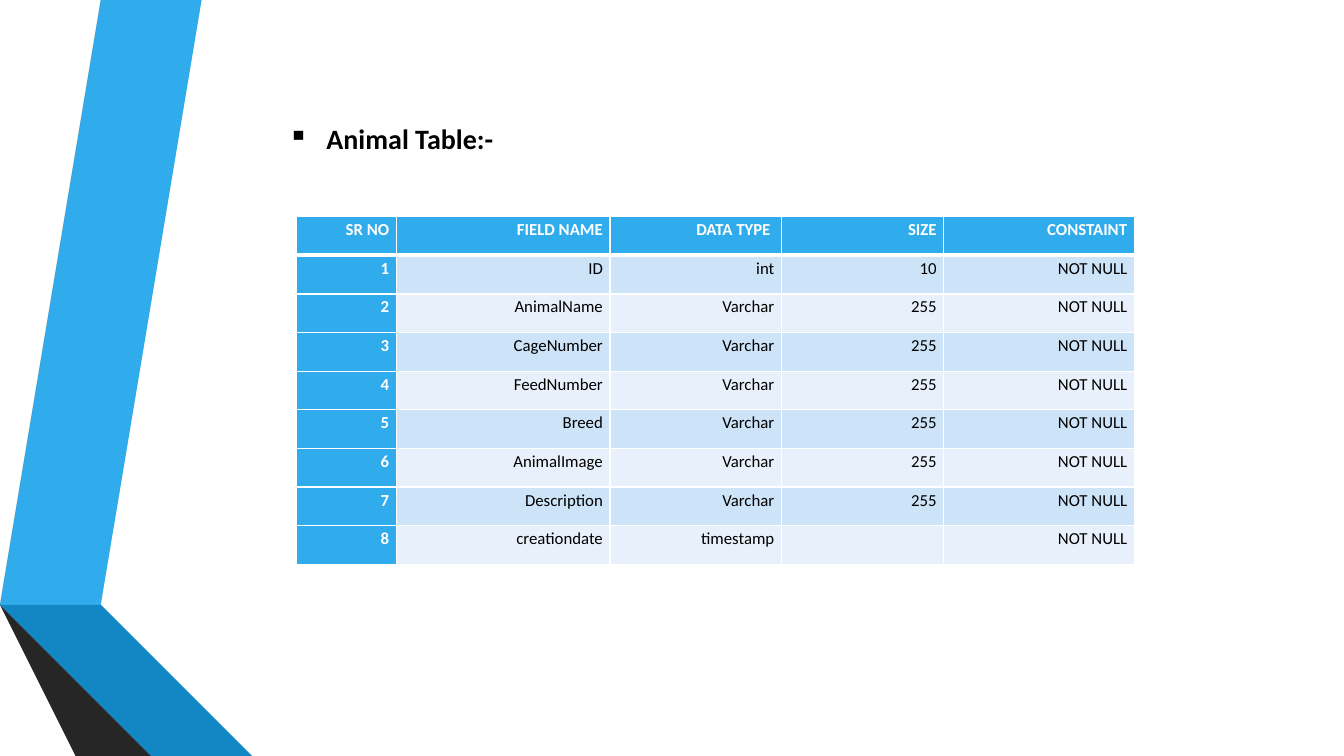
from lxml.etree import SubElement
from pptx import Presentation
from pptx.dml.color import RGBColor
from pptx.enum.text import PP_ALIGN
from pptx.oxml import parse_xml
from pptx.oxml.ns import nsdecls, qn
from pptx.util import Inches, Pt

COLORS = {
    "white": "FFFFFF", "black": "000000", "blue": "30ACEC",
    "mid_blue": "1287C3", "deep_blue": "0C5A82", "gray": "595959",
    "dark_gray": "404040", "shadow_gray": "262626",
    "odd_row": "CDE3F8", "even_row": "E8F1FB",
}
FONT = "Calibri"
WIDTH, HEIGHT = 13.33, 7.5

HEADING = "Animal Table:-"
HEADER = ("SR NO", "FIELD NAME", "DATA TYPE ", "SIZE", "CONSTAINT")
FIELDS = [
    ("ID", "int", "10"),
    ("AnimalName", "Varchar", "255"),
    ("CageNumber", "Varchar", "255"),
    ("FeedNumber", "Varchar", "255"),
    ("Breed", "Varchar", "255"),
    ("AnimalImage", "Varchar", "255"),
    ("Description", "Varchar", "255"),
    ("creationdate", "timestamp", ""),
]
CONSTRAINT = "NOT NULL"
COLUMN_WIDTHS = (0.99, 2.12, 1.7, 1.61, 1.89)
TABLE_LEFT, TABLE_TOP, TABLE_HEIGHT = 2.94, 2.15, 3.45

RIBBONS = [
    ("blue", [(0.5, 5.78), (0.77, 5.83), (1.73, 0), (1.45, 0)]),
    ("gray", [(1.39, 0), (1.11, 0), (0.16, 5.73), (0.44, 5.77)]),
    ("shadow_gray", [(0.16, 5.73), (1.45, HEIGHT), (1.51, HEIGHT)]),
    ("deep_blue", [(0.5, 5.79), (2.08, HEIGHT), (2.14, HEIGHT)]),
    ("mid_blue", [(0.5, 5.78), (0.5, 5.79), (2.14, HEIGHT), (2.83, HEIGHT), (0.77, 5.83)]),
    ("dark_gray", [(2.02, HEIGHT), (0.48, 5.83), (0.44, 5.77), (0.16, 5.73), (1.51, HEIGHT)]),
]


def paint(fill, color):
    """Fill a shape or cell with a named colour."""
    fill.solid()
    fill.fore_color.rgb = RGBColor.from_string(COLORS[color])


def style_text(paragraph, size, color, bold):
    """Format every run of a paragraph."""
    for run in paragraph.runs:
        run.font.name, run.font.size, run.font.bold = FONT, Pt(size), bold
        run.font.color.rgb = RGBColor.from_string(COLORS[color])


def draw_ribbon(slide, color, points):
    """Draw one folded piece of the side ribbon."""
    outline = slide.shapes.build_freeform(*points[0], scale=Inches(1))
    outline.add_line_segments(points[1:], close=True)
    ribbon = outline.convert_to_shape()
    ribbon.shadow.inherit = False
    paint(ribbon.fill, color)
    ribbon.line.fill.background()


def add_borders(cell, top, bottom):
    """Give a cell white borders ahead of its fill."""
    widths = {"lnL": 1, "lnR": 1, "lnT": top, "lnB": bottom}
    for place, (side, width) in enumerate(widths.items()):
        border = parse_xml(
            f'<a:{side} {nsdecls("a")} w="{Pt(width)}"><a:solidFill>'
            f'<a:srgbClr val="{COLORS["white"]}"/></a:solidFill></a:{side}>')
        cell._tc.get_or_add_tcPr().insert(place, border)


def fill_cell(cell, text, row, column):
    """Write and style one table cell by its grid position."""
    accent = row == 0 or column == 0
    cell.margin_left = cell.margin_right = Inches(0.07)
    cell.margin_top = cell.margin_bottom = 0
    cell.text_frame.text = text
    paragraph = cell.text_frame.paragraphs[0]
    paragraph.alignment, paragraph.line_spacing = PP_ALIGN.RIGHT, 1.15
    style_text(paragraph, 12, "white" if accent else "black", accent)
    paint(cell.fill, "blue" if accent else "odd_row" if row % 2 else "even_row")
    add_borders(cell, 3 if row == 1 else 1, 3 if row == 0 else 1)


def add_field_table(slide):
    """Add the table of database fields."""
    rows = [HEADER] + [(str(number), *field, CONSTRAINT)
                       for number, field in enumerate(FIELDS, 1)]
    table = slide.shapes.add_table(
        len(rows), len(HEADER), Inches(TABLE_LEFT), Inches(TABLE_TOP),
        Inches(sum(COLUMN_WIDTHS)), Inches(TABLE_HEIGHT)).table
    for column, width in zip(table.columns, COLUMN_WIDTHS):
        column.width = Inches(width)
    for r, values in enumerate(rows):
        for c, text in enumerate(values):
            fill_cell(table.cell(r, c), text, r, c)


def add_heading(slide):
    """Add the bulleted heading above the table."""
    heading = slide.shapes.add_textbox(Inches(2.76), Inches(1.16), Inches(4.19), Inches(0.74))
    heading.text_frame.word_wrap = True
    heading.text_frame.text = HEADING
    paragraph = heading.text_frame.paragraphs[0]
    style_text(paragraph, 20, "black", True)
    bullet_props = paragraph._p.get_or_add_pPr()
    bullet_props.set("marL", str(Inches(0.38)))
    bullet_props.set("indent", str(-Inches(0.38)))
    SubElement(bullet_props, qn("a:buChar")).set("char", "▪")


deck = Presentation()
deck.slide_width, deck.slide_height = Inches(WIDTH), Inches(HEIGHT)
page = deck.slides.add_slide(deck.slide_layouts[6])
for ribbon_color, ribbon_points in RIBBONS:
    draw_ribbon(page, ribbon_color, ribbon_points)
add_field_table(page)
add_heading(page)
deck.save("out.pptx")
